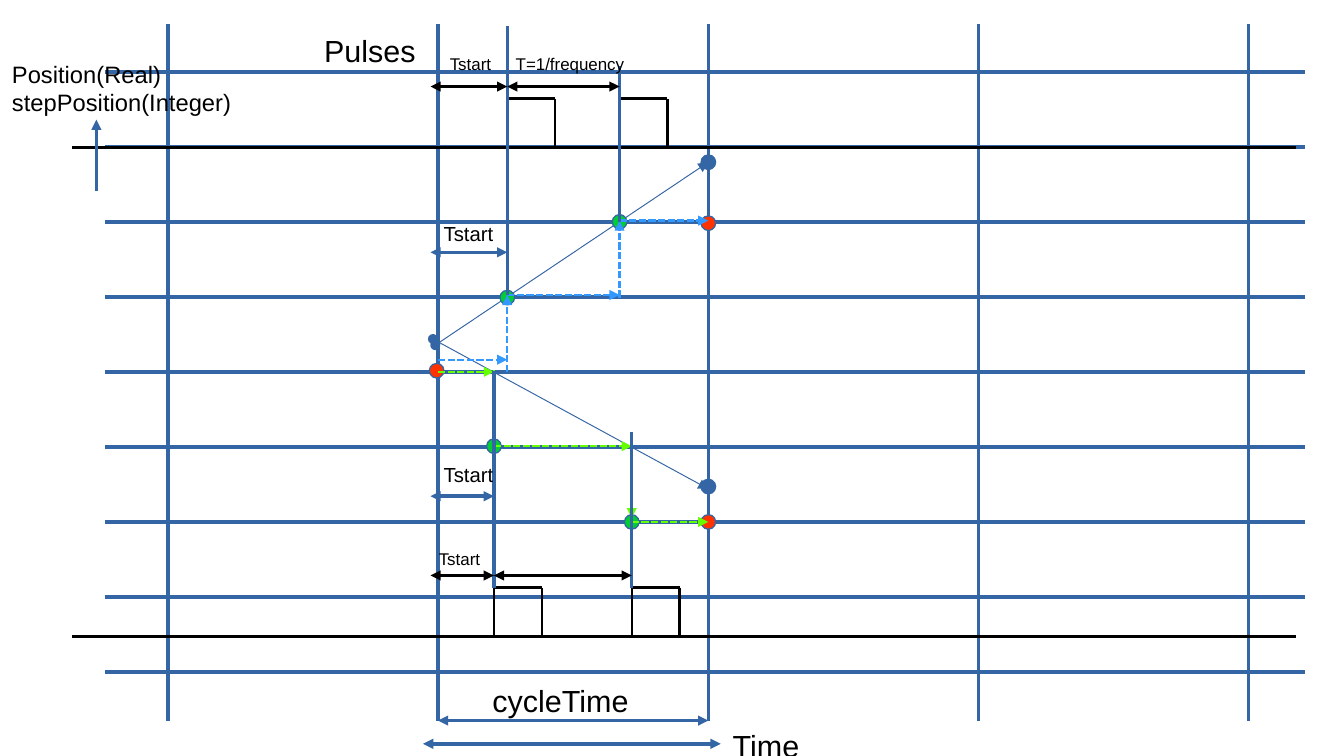
from lxml import etree
from pptx import Presentation
from pptx.dml.color import RGBColor
from pptx.enum.dml import MSO_LINE
from pptx.enum.shapes import MSO_CONNECTOR, MSO_SHAPE
from pptx.enum.text import MSO_ANCHOR, PP_ALIGN
from pptx.oxml.ns import qn
from pptx.util import Pt

STRAIGHT = MSO_CONNECTOR.STRAIGHT
OVAL = MSO_SHAPE.OVAL
DASH = MSO_LINE.SQUARE_DOT
LEFT = PP_ALIGN.LEFT
TOP = MSO_ANCHOR.TOP

COLORS = {
    "grid": "3465A4",
    "ink": "000000",
    "red": "FF3300",
    "green": "00CC33",
    "down": "66FF00",
    "up": "3399FF",
}


class Chart:
    font = "Arial"
    bold = 1.42
    dot_size = 8.64

    def __init__(self, slide):
        self.shapes = slide.shapes

    def color(self, name):
        return RGBColor.from_string(COLORS[name])

    def line(self, x1, y1, x2, y2, color="grid", width=0, head=None, tail=None, dash=None):
        link = self.shapes.add_connector(STRAIGHT, Pt(x1), Pt(y1), Pt(x2), Pt(y2))
        link.line.color.rgb = self.color(color)
        link.line.width = Pt(width)
        if dash:
            link.line.dash_style = dash
        props = link._element.spPr
        stroke = props.find(qn("a:ln"))
        for tag, kind in (("a:headEnd", head), ("a:tailEnd", tail)):
            if kind:
                etree.SubElement(stroke, qn(tag), type=kind)
        etree.SubElement(props, qn("a:effectLst"))

    def span(self, x1, x2, y, color="grid"):
        self.line(x1, y, x2, y, color, head="triangle", tail="triangle")

    def step(self, x1, y1, x2, y2, color, tail="triangle"):
        self.line(x1, y1, x2, y2, color, self.bold, tail=tail, dash=DASH)

    def dot(self, x, y, color):
        size = self.dot_size
        dot = self.shapes.add_shape(OVAL, Pt(x - size / 2), Pt(y - size / 2), Pt(size), Pt(size))
        dot.shadow.inherit = False
        dot.fill.solid()
        dot.fill.fore_color.rgb = self.color(color)
        dot.line.color.rgb = self.color("grid")
        dot.line.width = Pt(0)

    def pulse(self, x, base, high=28.8, wide=28.3):
        top = base - high
        for side in (x, x + wide):
            self.line(side, top, side, base, "ink", self.bold)
        self.line(x, top, x + wide, top, "ink", self.bold)

    def text(self, text, x, y, w, h, size=12, color="ink"):
        frame = self.shapes.add_textbox(Pt(x), Pt(y), Pt(w), Pt(h)).text_frame
        frame.word_wrap = True
        frame.vertical_anchor = TOP
        for i, part in enumerate(text.split("\n")):
            para = frame.add_paragraph() if i else frame.paragraphs[0]
            para.alignment = LEFT
            run = para.add_run()
            run.text = part
            run.font.name = self.font
            run.font.size = Pt(size)
            run.font.color.rgb = self.color(color)


def draw_grid(chart):
    for row in range(9):
        y = 42.5 + 44.29 * row
        chart.line(61.9, y, 770.4, y)
    for col in range(5):
        x = 99.2 + 159.5 * col
        chart.line(x, 14.4, x, 425.5)


def draw_paths(chart, start, end, up, low):
    chart.line(257, 203.8, end, 95.8, width=0.57, head="oval", tail="triangle")
    chart.line(255.6, 200.2, end, 288.7, width=0.57, head="oval", tail="triangle")
    dots = [
        (end, 287.3, "grid"), (end, 95.8, "grid"),
        (end, 131.8, "red"), (end, 308.2, "red"),
        (up[0], 175.7, "green"), (low[1], 308.2, "green"),
        (up[1], 131, "green"), (low[0], 263.5, "green"),
        (start - 0.8, 218.9, "red"),
    ]
    for x, y, color in dots:
        chart.dot(x, y, color)
    chart.step(low[0], 218.2, low[0], 260.6, "down", tail=None)
    for points in [
        (start, 219.6, low[0], 219.6),
        (low[0], 263.5, low[1], 263.5),
        (low[1], 263.5, low[1], 306),
        (low[1], 308.2, end, 308.2),
    ]:
        chart.step(*points, "down")
    for points in [
        (start, 212.4, up[0], 212.4),
        (up[0], 219.6, up[0], 174.2),
        (up[0], 174.2, up[1], 174.2),
        (up[1], 175.7, up[1], 130.3),
        (up[1], 130.3, end, 130.3),
    ]:
        chart.step(*points, "up")


def draw_pulses(chart, up, low):
    for base, marks in ((375.8, low), (87.1, up)):
        chart.line(42.5, base, 765.4, base, "ink", chart.bold)
        for x in marks:
            chart.pulse(x, base)
    for x, y1, y2 in [
        (up[0], 171.4, 118.1), (low[0], 297.4, 218.9),
        (low[0], 347, 254.9), (low[1], 347, 254.9),
        (up[0], 174.2, 15.1), (up[1], 131, 38.9),
    ]:
        chart.line(x, y1, x, y2)


def draw_times(chart, start, end, up, low):
    edge = 254.2
    chart.line(56.9, 113, 56.9, 70.6, tail="triangle")
    chart.span(start, end, 425.5)
    chart.span(249.8, 425.5, 439.2)
    chart.span(edge, up[0], 149)
    chart.span(edge, low[0], 293)
    for y, marks in ((339.8, low), (51.1, up)):
        chart.span(edge, marks[0], y, "ink")
        chart.span(*marks, y, "ink")


def draw_labels(chart):
    chart.text("Position(Real)\nstepPosition(Integer)", 0, 31.7, 156.2, 67.7, size=14)
    chart.text("Pulses", 184.3, 15.1, 198.7, 27.4, size=18)
    chart.text("cycleTime", 283.7, 398.9, 113, 27.4, size=18)
    chart.text("Time", 425.5, 425.5, 56.9, 28, size=18)
    chart.text("T=1/frequency", 297.4, 28, 147.6, 47.5, size=10)
    for x, y, size in [(254.9, 127.4, 12), (254.9, 269.3, 12), (252, 320.4, 10), (258.5, 28, 10)]:
        chart.text("Tstart", x, y, 56.9, 28, size=size)


def main():
    deck = Presentation()
    deck.slide_width, deck.slide_height = Pt(793.5), Pt(446.4)
    chart = Chart(deck.slides.add_slide(deck.slide_layouts[6]))
    start, end = 258.6, 418.2
    up, low = (299.5, 365.8), (291.6, 373)
    draw_grid(chart)
    draw_paths(chart, start, end, up, low)
    draw_pulses(chart, up, low)
    draw_times(chart, start, end, up, low)
    draw_labels(chart)
    deck.save("out.pptx")


if __name__ == "__main__":
    main()
